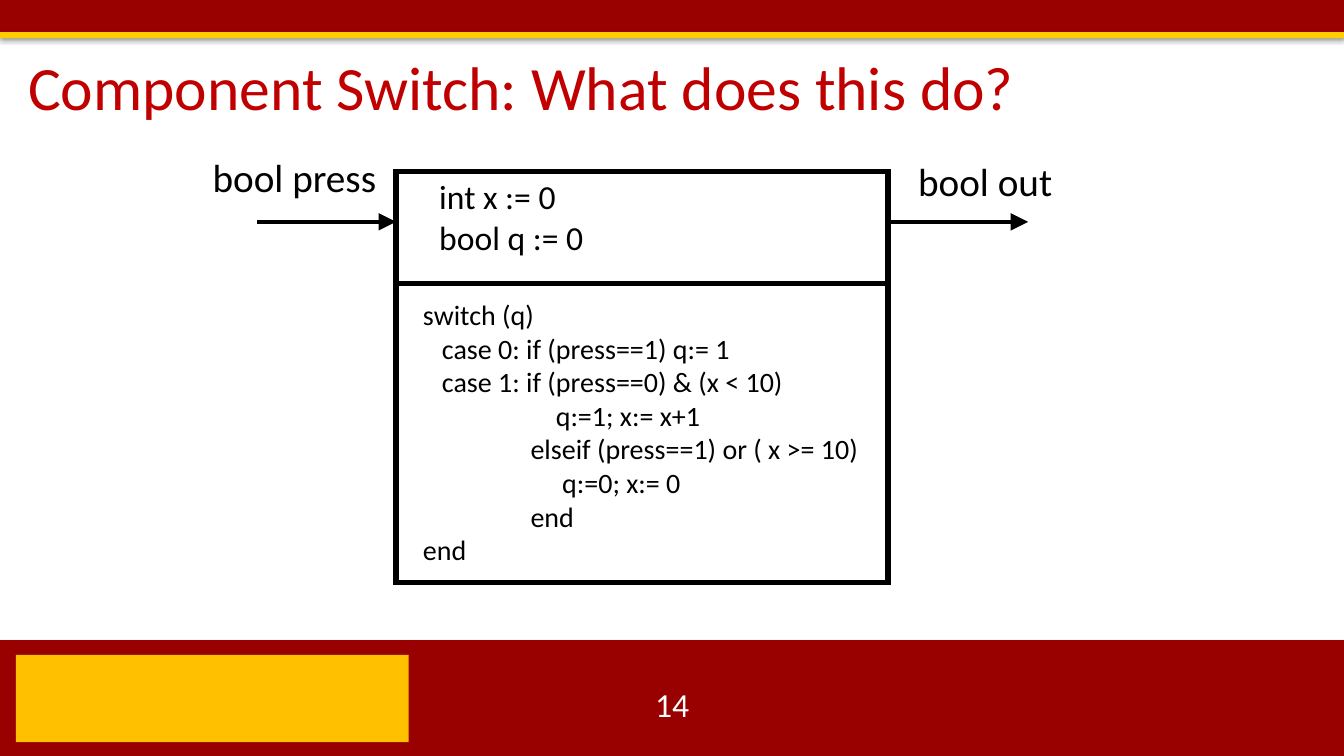
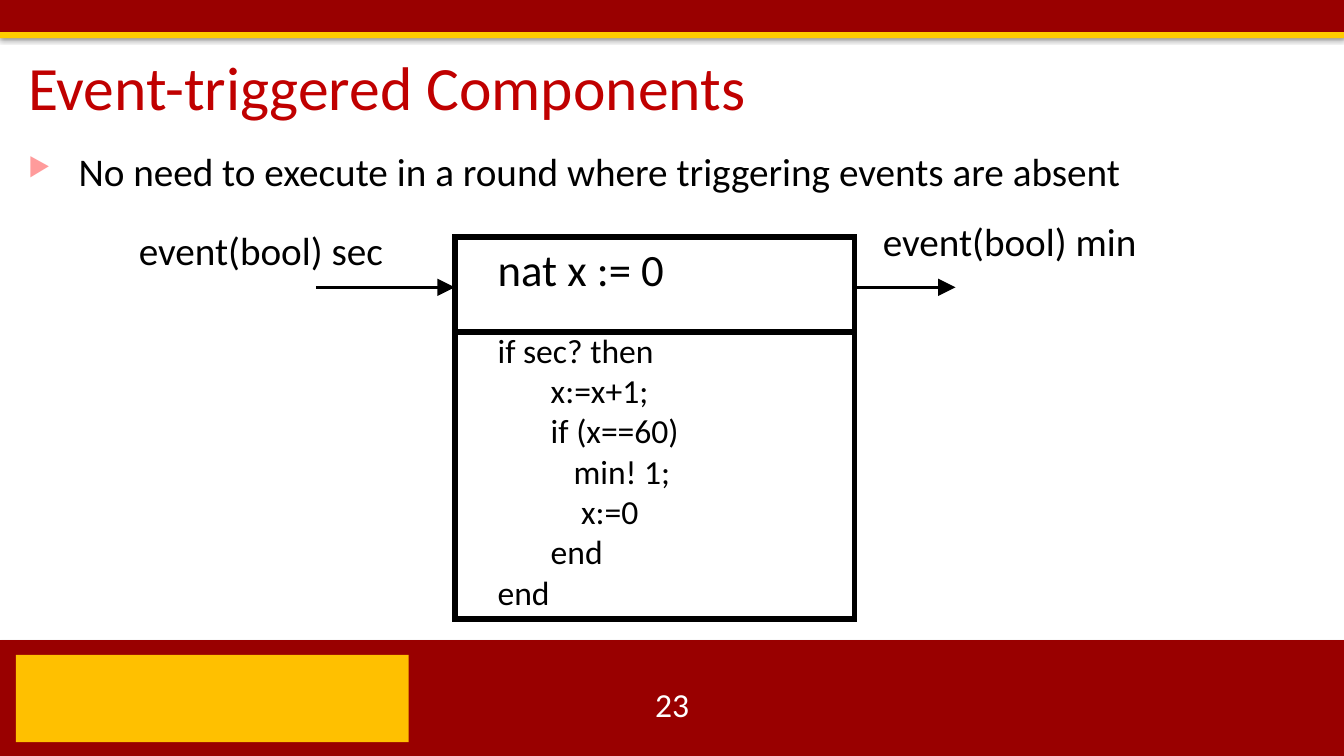
import lxml.etree
import pptx
import pptx.dml.color
import pptx.enum.shapes
import pptx.enum.text
import pptx.oxml.ns
import pptx.util

Cm, Pt = pptx.util.Cm, pptx.util.Pt
RGB = pptx.dml.color.RGBColor.from_string
qn = pptx.oxml.ns.qn
SubElement = lxml.etree.SubElement


class Theme:
    cardinal = RGB("990000")
    gold = RGB("FFCC00")
    emblem = RGB("FFC000")
    title = RGB("C00000")
    bullet = RGB("FF9B9B")
    ink = RGB("000000")
    white = RGB("FFFFFF")
    font = "Calibri"
    title_size = 44
    body_size = 28
    number_size = 24
    box_line = Pt(4)
    arrow_line = Pt(2.5)


slide_width = 33.87
arrow_drop = 1.27
arrow_in_length = 3.5

# (left, top, width, height, fill, shadow opacity in percent)
bands = [
    (0, 16.13, slide_width, 2.92, Theme.cardinal, 35),
    (0, 0, slide_width, 0.84, Theme.cardinal, 35),
    (0, 0.81, slide_width, 0.15, Theme.gold, 38),
]

# Each component: box, divider height, end of the outgoing arrow, and texts
# given as (left, top, width, size, lines)
pages = [
    {
        "title": "Component Switch: What does this do?",
        "number": "14",
        "bullet": None,
        "box": (9.98, 4.32, 12.4, 10.36),
        "divider": 7.14,
        "arrow_end": 25.91,
        "texts": [
            (5.11, 3.73, 4.8, 28, ["bool press"]),
            (22.89, 3.84, 4.2, 28, ["bool out"]),
            (10.82, 4.32, 6, 24, ["int x := 0", "bool q := 0"]),
            (10.41, 7.37, 11.95, 20, [
                "switch (q)",
                "   case 0: if (press==1) q:= 1",
                "   case 1: if (press==0) & (x < 10)",
                "                     q:=1; x:= x+1",
                "                 elseif (press==1) or ( x >= 10)",
                "                      q:=0; x:= 0",
                "                 end",
                "end",
            ]),
        ],
    },
    {
        "title": "Event-triggered Components",
        "number": "23",
        "bullet": "No need to execute in a round where triggering events are absent",
        "box": (11.46, 5.97, 10.08, 9.63),
        "divider": 8.36,
        "arrow_end": 24.08,
        "texts": [
            (3.25, 5.59, 7.2, 28, ["event(bool) sec"]),
            (22, 5.36, 7.5, 28, ["event(bool) min"]),
            (12.29, 5.97, 6, 32, ["nat x := 0"]),
            (12.29, 8.18, 6, 24, [
                "if sec? then",
                "       x:=x+1;",
                "       if (x==60)",
                "          min! 1;",
                "           x:=0",
                "       end",
                "end",
            ]),
        ],
    },
]


def add_text(slide, box, lines, size, color=Theme.ink):
    shape = slide.shapes.add_textbox(*[Cm(length) for length in box])
    text_frame = shape.text_frame
    text_frame.word_wrap = True
    text_frame.text = "\n".join(lines)
    for paragraph in text_frame.paragraphs:
        for run in paragraph.runs:
            run.font.name = Theme.font
            run.font.size = Pt(size)
            run.font.color.rgb = color
    return text_frame


def add_line(slide, start, end, width, arrow=False):
    line = slide.shapes.add_connector(
        pptx.enum.shapes.MSO_CONNECTOR.STRAIGHT,
        *[Cm(length) for length in (*start, *end)])
    line.line.color.rgb = Theme.ink
    line.line.width = width
    if arrow:
        SubElement(line.line._get_or_add_ln(), qn("a:tailEnd"),
                   type="triangle", w="lg", len="lg")
    SubElement(line._element.spPr, qn("a:effectLst"))


presentation = pptx.Presentation()
presentation.slide_width = Cm(slide_width)
presentation.slide_height = Cm(19.05)
rectangle = pptx.enum.shapes.MSO_SHAPE.RECTANGLE
middle = pptx.enum.text.MSO_ANCHOR.MIDDLE

for page in pages:
    slide = presentation.slides.add_slide(presentation.slide_layouts[6])

    # Bands with a soft shadow
    for *box, fill, opacity in bands:
        band = slide.shapes.add_shape(rectangle, *[Cm(length) for length in box])
        band.fill.solid()
        band.fill.fore_color.rgb = fill
        band.line.fill.background()
        band.shadow.inherit = False
        effects = band._element.spPr.find(qn("a:effectLst"))
        shadow = SubElement(effects, qn("a:outerShdw"), blurRad=str(Pt(3.1)),
                            dist=str(Pt(1.8)), dir="5400000", rotWithShape="0")
        shadow_color = SubElement(shadow, qn("a:srgbClr"), val=str(Theme.ink))
        SubElement(shadow_color, qn("a:alpha"), val=str(opacity * 1000))

    # Plain block at the left of the footer
    emblem = slide.shapes.add_shape(rectangle, Cm(0.4), Cm(16.5), Cm(9.9), Cm(2.2))
    emblem.fill.solid()
    emblem.fill.fore_color.rgb = Theme.emblem
    emblem.line.fill.background()
    emblem.shadow.inherit = False

    # Title and slide number
    title = add_text(slide, (0.46, 1.19, 30.33, 2.16), [page["title"]],
                     Theme.title_size, Theme.title)
    title.vertical_anchor = middle
    title.paragraphs[0].line_spacing = 0.9
    number = add_text(slide, (13.13, 17.22, 7.62, 1.02), [page["number"]],
                      Theme.number_size, Theme.white)
    number.vertical_anchor = middle
    number.paragraphs[0].alignment = pptx.enum.text.PP_ALIGN.CENTER

    # Bullet
    if page["bullet"]:
        body = add_text(slide, (0.46, 3.71, 32.49, 1.35), [page["bullet"]],
                        Theme.body_size)
        paragraph = body.paragraphs[0]
        properties = paragraph._p.get_or_add_pPr()
        properties.set("marL", str(Cm(1.27)))
        properties.set("indent", str(-Cm(1.27)))
        bullet_color = SubElement(properties, qn("a:buClr"))
        SubElement(bullet_color, qn("a:srgbClr"), val=str(Theme.bullet))
        SubElement(properties, qn("a:buSzPct"), val="65000")
        SubElement(properties, qn("a:buChar"), char="▶")
        paragraph.line_spacing = 0.9

    # Component box, divider and arrows
    left, top, width, height = page["box"]
    right, arrow_top = left + width, top + arrow_drop
    component = slide.shapes.add_shape(
        rectangle, Cm(left), Cm(top), Cm(width), Cm(height))
    component.fill.background()
    component.line.color.rgb = Theme.ink
    component.line.width = Theme.box_line
    SubElement(component.line._get_or_add_ln(), qn("a:miter"), lim="800000")
    component.shadow.inherit = False
    add_line(slide, (left, page["divider"]), (right, page["divider"]), Theme.box_line)
    add_line(slide, (left - arrow_in_length, arrow_top), (left, arrow_top),
             Theme.arrow_line, arrow=True)
    add_line(slide, (right, arrow_top), (page["arrow_end"], arrow_top),
             Theme.arrow_line, arrow=True)

    # Port labels, state variables and code
    for left, top, width, size, lines in page["texts"]:
        text_height = 0.25 + 0.04 * size * len(lines)
        add_text(slide, (left, top, width, text_height), lines, size)

presentation.save("out.pptx")
